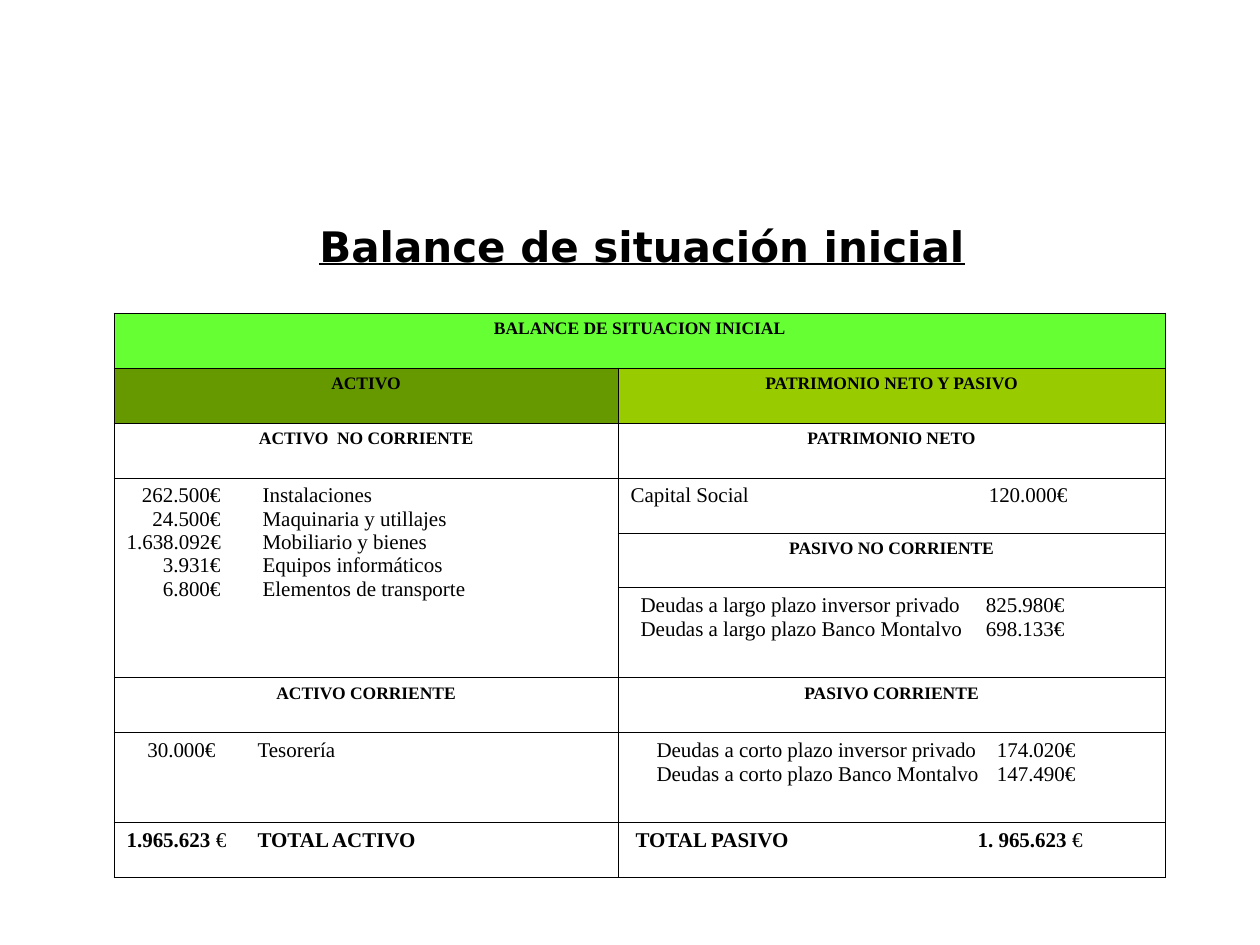
from dataclasses import dataclass

from lxml import etree
from pptx import Presentation
from pptx import util as u
from pptx.dml.color import RGBColor
from pptx.enum import text
from pptx.oxml import ns

PX_PER_INCH = 126
COLORS = {"ink": "000000", "banner": "66FF33", "assets": "669900", "claims": "99CC00"}

TITLE = {"name": "DejaVu Sans", "size": u.Pt(24), "bold": True, "underline": True}
HEADING = {"name": "Times New Roman", "size": u.Pt(10), "bold": True}
ENTRY = {"name": "Times New Roman", "size": u.Pt(12), "bold": False}
TOTAL = {**ENTRY, "bold": True}

COLUMNS = (504, 547)
SHORT, TALL = 55, 90
ROWS = (SHORT,) * 5 + (TALL, SHORT, TALL, SHORT)
BORDER_TAGS = ("a:lnL", "a:lnR", "a:lnT", "a:lnB")


@dataclass(frozen=True)
class Heading:
    row: int
    column: int
    words: str
    fill: str = ""


@dataclass(frozen=True)
class Entries:
    """Lines of (text, format) spans, set out on (px, alignment) tab stops."""
    row: int
    column: int
    tabs: tuple
    lines: tuple


HEADINGS = (
    Heading(0, 0, "BALANCE DE SITUACION INICIAL", "banner"),
    Heading(1, 0, "ACTIVO", "assets"),
    Heading(1, 1, "PATRIMONIO NETO Y PASIVO", "claims"),
    Heading(2, 0, "ACTIVO  NO CORRIENTE"),
    Heading(2, 1, "PATRIMONIO NETO"),
    Heading(4, 1, "PASIVO NO CORRIENTE"),
    Heading(6, 0, "ACTIVO CORRIENTE"),
    Heading(6, 1, "PASIVO CORRIENTE"),
)


def plain(*lines: str) -> tuple:
    return tuple(((line, ENTRY),) for line in lines)


ENTRIES = (
    Entries(3, 0, ((94, "r"), (136, "l")), plain(
        "\t262.500€\tInstalaciones",
        "\t24.500€\tMaquinaria y utillajes",
        "\t1.638.092€\tMobiliario y bienes",
        "\t3.931€\tEquipos informáticos",
        "\t6.800€\tElementos de transporte")),
    Entries(3, 1, ((437, "r"),), plain("Capital Social\t120.000€")),
    Entries(5, 1, ((10, "l"), (434, "r")), plain(
        "\tDeudas a largo plazo inversor privado\t825.980€",
        "\tDeudas a largo plazo Banco Montalvo\t698.133€")),
    Entries(7, 0, ((89, "r"), (131, "l")), plain("\t30.000€\tTesorería")),
    Entries(7, 1, ((26, "l"), (445, "r")), plain(
        "\tDeudas a corto plazo inversor privado\t174.020€",
        "\tDeudas a corto plazo Banco Montalvo\t147.490€")),
    Entries(8, 0, ((131, "l"),), (
        (("1.965.623 ", TOTAL), ("€", ENTRY), ("\tTOTAL ACTIVO", TOTAL)),)),
    Entries(8, 1, ((5, "l"), (452, "r")), (
        (("\tTOTAL PASIVO\t1. 965.623 ", TOTAL), ("€", ENTRY)),)),
)


def px(length: int) -> u.Emu:
    return u.Inches(length / PX_PER_INCH)


def add_span(para, words: str, style: dict) -> None:
    span = para.add_run()
    span.text = words
    for name, value in style.items():
        setattr(span.font, name, value)
    span.font.color.rgb = RGBColor.from_string(COLORS["ink"])


def set_tabs(para, tabs: tuple) -> None:
    # A pPr has no other children here, so the list may simply be appended.
    stops = etree.SubElement(para._p.get_or_add_pPr(), ns.qn("a:tabLst"))
    for position, alignment in tabs:
        etree.SubElement(stops, ns.qn("a:tab"), pos=str(px(position)), algn=alignment)


def format_cell(cell) -> None:
    """Clear the fill and rule all four sides with a thin line."""
    properties = cell._tc.get_or_add_tcPr()
    for tag in BORDER_TAGS:
        line = etree.SubElement(properties, ns.qn(tag), w=str(u.Pt(0.45)))
        fill = etree.SubElement(line, ns.qn("a:solidFill"))
        etree.SubElement(fill, ns.qn("a:srgbClr"), val=COLORS["ink"])
    cell.fill.background()


def draw_heading(table, heading: Heading) -> None:
    cell = table.cell(heading.row, heading.column)
    if heading.fill:
        cell.fill.solid()
        cell.fill.fore_color.rgb = RGBColor.from_string(COLORS[heading.fill])
    para = cell.text_frame.paragraphs[0]
    para.alignment = text.PP_ALIGN.CENTER
    add_span(para, heading.words, HEADING)


def draw_entries(table, entries: Entries) -> None:
    frame = table.cell(entries.row, entries.column).text_frame
    for index, line in enumerate(entries.lines):
        para = frame.add_paragraph() if index else frame.paragraphs[0]
        set_tabs(para, entries.tabs)
        for words, style in line:
            add_span(para, words, style)


def draw_balance(page) -> None:
    table = page.shapes.add_table(
        len(ROWS), len(COLUMNS), px(114), px(313), px(sum(COLUMNS)), px(sum(ROWS))).table
    table.first_row = table.horz_banding = False
    for column, width in zip(table.columns, COLUMNS):
        column.width = px(width)
    for row, height in zip(table.rows, ROWS):
        row.height = px(height)
    for cell in table.iter_cells():
        format_cell(cell)
    table.cell(0, 0).merge(table.cell(0, 1))
    table.cell(3, 0).merge(table.cell(5, 0))
    for heading in HEADINGS:
        draw_heading(table, heading)
    for entries in ENTRIES:
        draw_entries(table, entries)


def draw_title(page) -> None:
    box = page.shapes.add_textbox(px(307), px(214), px(684), px(63))
    box.text_frame.word_wrap = True
    add_span(box.text_frame.paragraphs[0], "Balance de situación inicial", TITLE)


def main() -> None:
    deck = Presentation()
    deck.slide_width, deck.slide_height = px(1260), px(945)
    page = deck.slides.add_slide(deck.slide_layouts[6])
    draw_balance(page)
    draw_title(page)
    deck.save("out.pptx")


if __name__ == "__main__":
    main()
